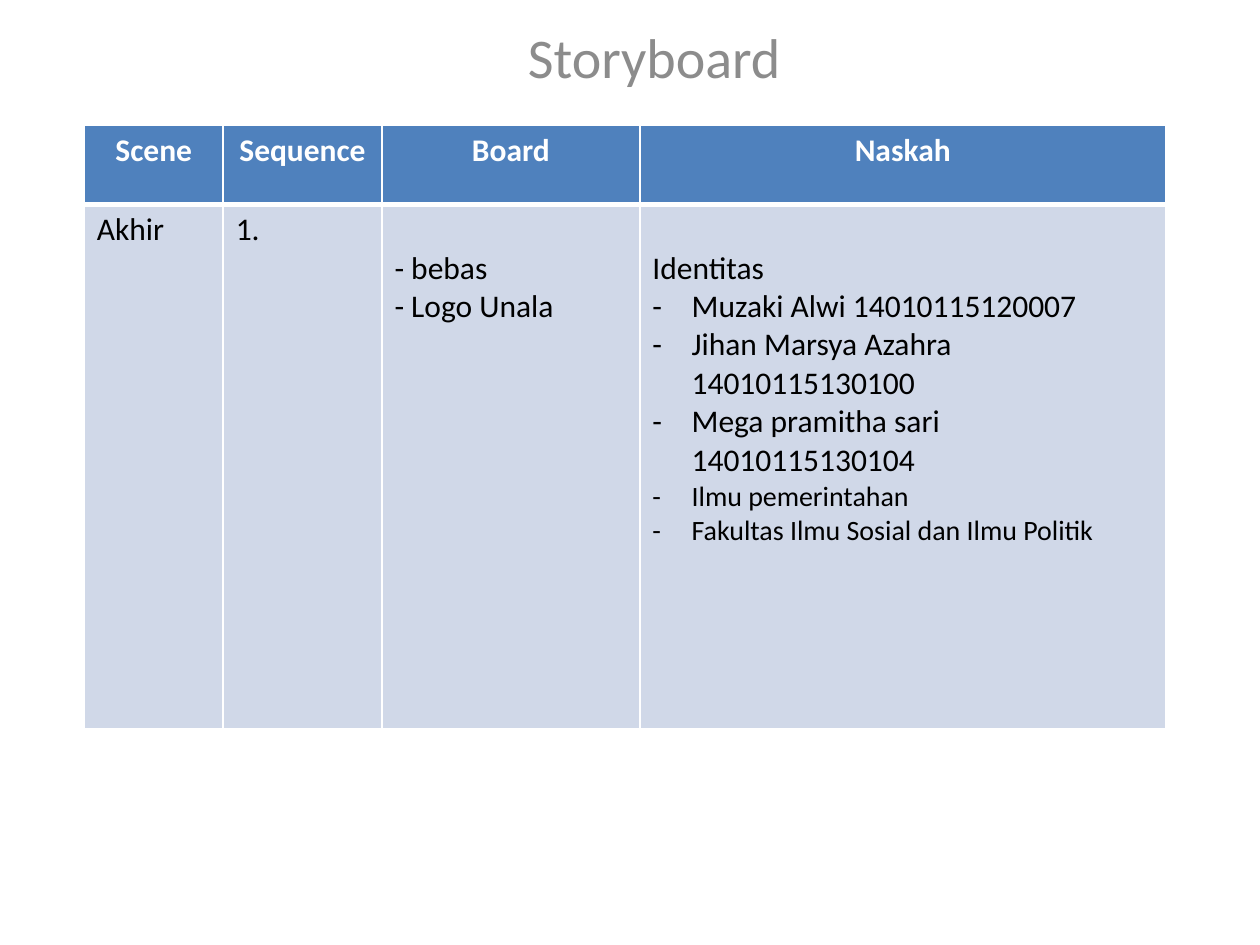
import pptx
import pptx.dml.color
import pptx.enum.text
import pptx.oxml.ns
import pptx.util
from lxml import etree

Cm = pptx.util.Cm
Pt = pptx.util.Pt
PP_ALIGN = pptx.enum.text.PP_ALIGN
qn = pptx.oxml.ns.qn


def color(value):
    return pptx.dml.color.RGBColor.from_string(value)


class StoryboardSlide:
    FONT = "Calibri"
    GREY, WHITE, BLACK = "8C8C8C", "FFFFFF", "000000"
    HEADER, BODY = "4F81BD", "D0D8E8"
    INDENT = Cm(0.79)

    def __init__(self, prs):
        self.slide = prs.slides.add_slide(prs.slide_layouts[5])

    def format_text(self, p, size, hex_color, bold=False, align=PP_ALIGN.LEFT):
        p.alignment = align
        for r in p.runs:
            r.font.name = self.FONT
            r.font.size = Pt(size)
            r.font.bold = bold
            r.font.color.rgb = color(hex_color)

    def title(self, text, left, top, width, height):
        sp = self.slide.shapes.title
        sp.left, sp.top, sp.width, sp.height = left, top, width, height
        tf = sp.text_frame
        tf.text = text
        tf.vertical_anchor = pptx.enum.text.MSO_ANCHOR.TOP
        self.format_text(tf.paragraphs[0], 32, self.GREY, align=PP_ALIGN.CENTER)

    def table(self, left, top, widths, heights):
        table = self.slide.shapes.add_table(
            len(heights), len(widths), left, top, sum(widths), sum(heights)).table
        for column, width in zip(table.columns, widths):
            column.width = width
        for row, height in zip(table.rows, heights):
            row.height = height
        return table

    def borders(self, cell, top, bottom):
        tc_pr = cell._tc.get_or_add_tcPr()
        sides = (("lnL", 1), ("lnR", 1), ("lnT", top), ("lnB", bottom))
        for i, (side, width) in enumerate(sides):
            ln = etree.Element(qn("a:" + side), w=str(Pt(width)))
            fill = etree.SubElement(ln, qn("a:solidFill"))
            etree.SubElement(fill, qn("a:srgbClr"), val=self.WHITE)
            tc_pr.insert(i, ln)

    def fill(self, cell, hex_color):
        cell.fill.solid()
        cell.fill.fore_color.rgb = color(hex_color)

    def header_cell(self, cell, text):
        cell.text_frame.text = text
        self.format_text(cell.text_frame.paragraphs[0], 18, self.WHITE, True,
                         PP_ALIGN.CENTER)
        self.fill(cell, self.HEADER)
        self.borders(cell, 1, 3)

    def body_cell(self, cell, lines, margin_top):
        """Each line is (text, size, bulleted)."""
        tf = cell.text_frame
        tf.text = "\n".join(text for text, _, _ in lines)
        for p, (_, size, bulleted) in zip(tf.paragraphs, lines):
            self.format_text(p, size, self.BLACK)
            if bulleted:
                self.dash(p)
        cell.margin_top = margin_top
        self.fill(cell, self.BODY)
        self.borders(cell, 3, 1)

    def dash(self, p):
        p_pr = p._p.get_or_add_pPr()
        p_pr.set("marL", str(self.INDENT))
        p_pr.set("indent", str(-self.INDENT))
        etree.SubElement(p_pr, qn("a:buFont"), typeface=self.FONT)
        etree.SubElement(p_pr, qn("a:buChar"), char="-")


def main():
    prs = pptx.Presentation()
    prs.slide_width, prs.slide_height = Cm(25.4), Cm(19.05)
    s = StoryboardSlide(prs)

    # Title
    s.title("Storyboard", Cm(4.3), Cm(0.33), Cm(17.78), Cm(1.93))

    # Storyboard table
    table = s.table(Cm(1.7), Cm(2.52),
                    [Cm(w) for w in (2.8, 3.2, 5.2, 10.6)],
                    [Cm(1.6), Cm(10.57)])
    for i, text in enumerate(("Scene", "Sequence", "Board", "Naskah")):
        s.header_cell(table.cell(0, i), text)

    # Scene row: text of the last two columns starts one line lower
    line_top, next_line_top = Cm(0.13), Cm(0.9)
    scene = [
        ([("Akhir", 18, False)], line_top),
        ([("1.", 18, False)], line_top),
        ([("- bebas", 18, False), ("- Logo Unala", 18, False)], next_line_top),
        ([("Identitas", 18, False),
          ("Muzaki Alwi 14010115120007", 18, True),
          ("Jihan Marsya Azahra 14010115130100", 18, True),
          ("Mega pramitha sari 14010115130104", 18, True),
          ("Ilmu pemerintahan", 16, True),
          ("Fakultas Ilmu Sosial dan Ilmu Politik", 16, True)], next_line_top),
    ]
    for i, (lines, margin_top) in enumerate(scene):
        s.body_cell(table.cell(1, i), lines, margin_top)

    prs.save("out.pptx")


if __name__ == "__main__":
    main()
